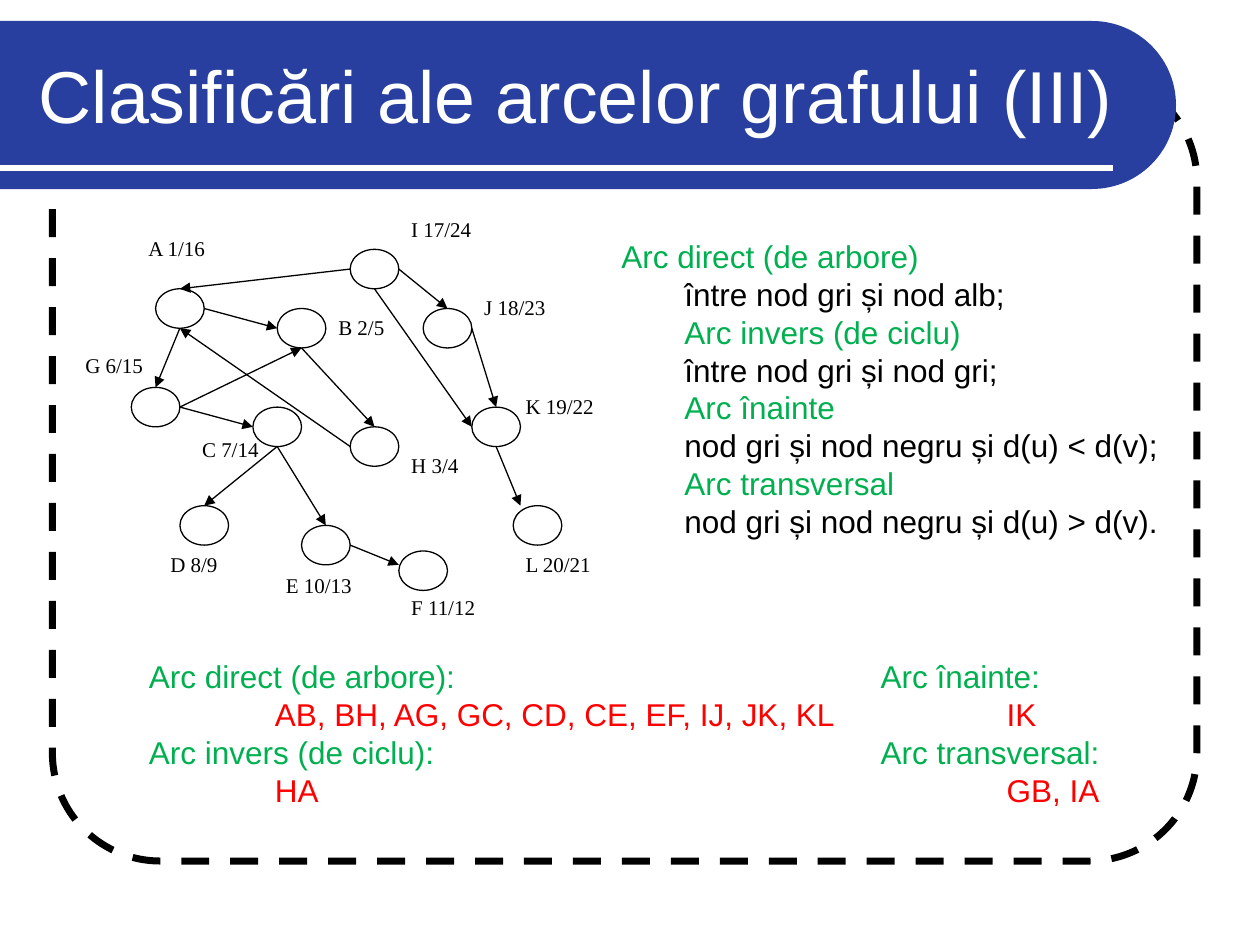
import math

from lxml import etree
from pptx import Presentation
from pptx.dml.color import RGBColor
from pptx.enum.dml import MSO_LINE
from pptx.enum.shapes import MSO_CONNECTOR, MSO_SHAPE
from pptx.enum.text import MSO_ANCHOR
from pptx.oxml.ns import qn
from pptx.util import Inches, Pt

STRAIGHT = MSO_CONNECTOR.STRAIGHT
ELLIPSE = MSO_SHAPE.OVAL
ROUNDED = MSO_SHAPE.ROUNDED_RECTANGLE
DASH = MSO_LINE.DASH
MIDDLE, TOP = MSO_ANCHOR.MIDDLE, MSO_ANCHOR.TOP

COLORS = {"black": "000000", "white": "FFFFFF", "blue": "283FA0",
          "green": "00B050", "red": "FF0000"}

# The slide is a grid of 120 columns and 90 rows
SLIDE_W, SLIDE_H = Inches(10), Inches(7.5)
COL, ROW = SLIDE_W / 120, SLIDE_H / 90

# The graph is a grid of 18 by 18; each node covers 2 by 2
GRAPH_CELLS, NODE = 18, 2

# Node: (column, row), label, label (column, row, width in columns)
NODES = {
    "A": ((1, 2), "A 1/16", (0.2, -1, 3.5)),
    "G": ((0, 7), "G 6/15", (-2.4, 4.9, 3.95)),
    "B": ((6, 3), "B 2/5", (8, 3, 3)),
    "I": ((9, 0), "I 17/24", (11, -2, 3.9)),
    "C": ((5, 8), "C 7/14", (2.4, 9.2, 3.95)),
    "H": ((9, 9), "H 3/4", (11, 10, 3)),
    "J": ((12, 3), "J 18/23", (14, 2, 3.95)),
    "E": ((7, 14), "E 10/13", (5.85, 16.1, 4.3)),
    "K": ((14, 8), "K 19/22", (15.7, 7, 3.95)),
    "F": ((11, 15.3), "F 11/12", (11, 17.2, 3.9)),
    "L": ((15.7, 13), "L 20/21", (15.7, 15, 3.95)),
    "D": ((2, 13), "D 8/9", (1.1, 15, 3.9)),
}

# Where an edge meets a node, as an offset from the node's corner
PORTS = {"left": (0, 1), "right": (2, 1), "top": (1, 0), "bottom": (1, 2),
         "upper left": (0, 0.7), "top left": (0.3, 0)}

EDGES = [
    ("A", "right", "B", "left"), ("A", "bottom", "G", "top"),
    ("I", "left", "A", "top"), ("G", "right", "C", "left"),
    ("G", "right", "B", "bottom"), ("B", "bottom", "H", "top"),
    ("H", "left", "A", "bottom"), ("I", "right", "J", "top"),
    ("I", "bottom", "K", "left"), ("J", "right", "K", "top"),
    ("C", "bottom", "E", "top"), ("C", "bottom", "D", "top"),
    ("E", "right", "F", "upper left"), ("K", "bottom", "L", "top left"),
]

# Text blocks: (text, colour, indent in columns)
DEFINITIONS = [
    ("Arc direct (de arbore)", "green", 0),
    ("între nod gri și nod alb;", "black", 6),
    ("Arc invers (de ciclu)", "green", 6),
    ("între nod gri și nod gri;", "black", 6),
    ("Arc înainte", "green", 6),
    ("nod gri și nod negru și d(u) < d(v);", "black", 6),
    ("Arc transversal", "green", 6),
    ("nod gri și nod negru și d(u) > d(v).", "black", 6),
]
TREE_AND_BACK = [
    ("Arc direct (de arbore):", "green", 0),
    ("AB, BH, AG, GC, CD, CE, EF, IJ, JK, KL", "red", 12),
    ("Arc invers (de ciclu):", "green", 0),
    ("HA", "red", 12),
]
FORWARD_AND_CROSS = [
    ("Arc înainte:", "green", 0),
    ("IK", "red", 12),
    ("Arc transversal:", "green", 0),
    ("GB, IA", "red", 12),
]


def rgb(name):
    return RGBColor.from_string(COLORS[name])


def grid_box(col, row, cols, rows):
    return [int(v) for v in (col * COL, row * ROW, cols * COL, rows * ROW)]


def add_text(slide, box, lines, size, font="Arial", anchor=TOP):
    tf = slide.shapes.add_textbox(*box).text_frame
    tf.word_wrap = True
    tf.vertical_anchor = anchor
    tf.text = "\n".join(text for text, _, _ in lines)
    for p, (_, color, indent) in zip(tf.paragraphs, lines):
        if indent:
            p._p.get_or_add_pPr().set("marL", str(int(indent * COL)))
        p.font.size = Pt(size)
        p.font.name = font
        p.font.color.rgb = rgb(color)


def add_line(slide, start, end, color, width, arrow=False):
    points = [int(v) for v in (*start, *end)]
    line = slide.shapes.add_connector(STRAIGHT, *points)
    line.line.color.rgb = rgb(color)
    line.line.width = Pt(width)
    if arrow:
        etree.SubElement(line.line._get_or_add_ln(), qn("a:tailEnd"), type="triangle")
    etree.SubElement(line._element.spPr, qn("a:effectLst"))


def add_frame(slide, box):
    sp = slide.shapes.add_shape(ROUNDED, *box)
    sp.adjustments[0] = 0.137
    sp.shadow.inherit = False
    sp.fill.background()
    sp.line.color.rgb = rgb("black")
    sp.line.width = Pt(4)
    sp.line.dash_style = DASH


def add_banner(slide, box, title):
    left, top, width, height = box
    # Band with a half-round right end
    radius = height / 2
    cx, cy = left + width - radius, top + radius
    angles = [math.radians(a) for a in range(-90, 91, 3)]
    arc = [(cx + radius * math.cos(a), cy + radius * math.sin(a)) for a in angles]
    builder = slide.shapes.build_freeform(left, top)
    builder.add_line_segments(arc + [(left, top + height)], close=True)
    sp = builder.convert_to_shape()
    sp.shadow.inherit = False
    sp.fill.solid()
    sp.fill.fore_color.rgb = rgb("blue")
    sp.line.fill.background()
    # Rule and title
    rule_y = top + height * 7 / 8
    add_line(slide, (left, rule_y), (left + width - 6 * COL, rule_y), "white", 3)
    title_box = [int(v) for v in (left + 2.5 * COL, top + ROW,
                                  width - 6.8 * COL, height * 3 / 4)]
    add_text(slide, title_box, [(title, "white", 0)], 42, anchor=MIDDLE)


def add_graph(slide, box):
    left, top, width, height = box
    dx, dy = width / GRAPH_CELLS, height / GRAPH_CELLS

    def at(col, row):
        return int(left + col * dx), int(top + row * dy)

    def port(node, side):
        (col, row), (across, down) = NODES[node][0], PORTS[side]
        return at(col + across, row + down)

    # Nodes
    size = int(NODE * dx), int(NODE * dy)
    for cell, _, _ in NODES.values():
        sp = slide.shapes.add_shape(ELLIPSE, *at(*cell), *size)
        sp.shadow.inherit = False
        sp.fill.solid()
        sp.fill.fore_color.rgb = rgb("white")
        sp.line.color.rgb = rgb("black")
        sp.line.width = Pt(0.75)
    # Edges
    for tail, tail_side, head, head_side in EDGES:
        add_line(slide, port(tail, tail_side), port(head, head_side),
                 "black", 0.75, arrow=True)
    # Labels
    for _, label, (col, row, cols) in NODES.values():
        label_box = (*at(col, row), int(cols * dx), size[1])
        add_text(slide, label_box, [(label, "black", 0)], 12, "Times New Roman")


def main():
    prs = Presentation()
    prs.slide_width, prs.slide_height = SLIDE_W, SLIDE_H
    slide = prs.slides.add_slide(prs.slide_layouts[6])
    add_frame(slide, grid_box(5, 7, 109, 75))
    add_banner(slide, grid_box(0, 2, 112, 16), "Clasificări ale arcelor grafului (III)")
    add_graph(slide, grid_box(12.5, 23.75, 41.7, 33.8))
    add_text(slide, grid_box(58, 22, 55, 30), DEFINITIONS, 18)
    add_text(slide, grid_box(13, 62, 69, 15.6), TREE_AND_BACK, 18)
    add_text(slide, grid_box(82.7, 62, 24.2, 15.6), FORWARD_AND_CROSS, 18)
    prs.save("out.pptx")


if __name__ == "__main__":
    main()
